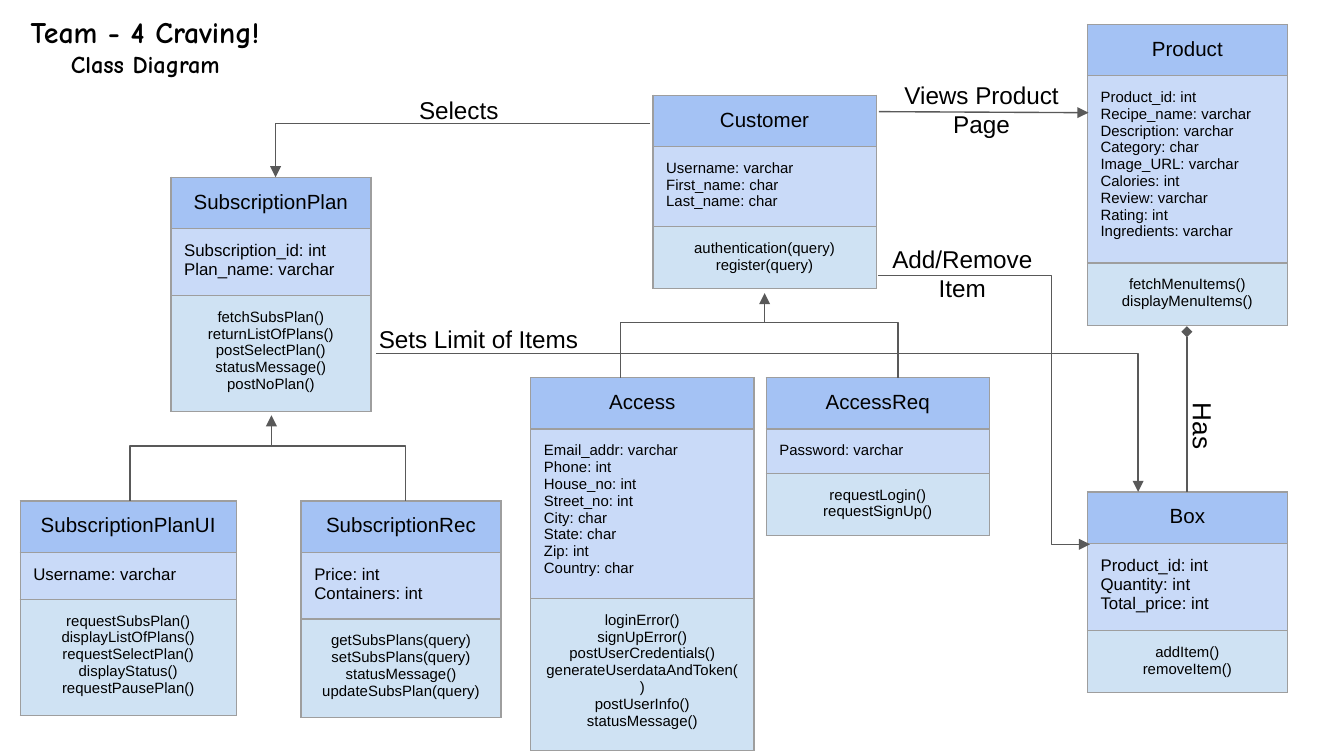
import pptx
import pptx.util
import pptx.dml.color
import pptx.enum.shapes
import pptx.enum.text
import pptx.oxml
import pptx.oxml.ns

Cm = pptx.util.Cm
COLORS = {
    "text": "000000", "line": "595959", "border": "9E9E9E",
    "header": "A4C2F4", "fields": "C9DAF8", "methods": "CFE2F3",
}

CLASSES = [
    {"name": "Customer", "at": (12.34, 1.8), "width": 4.22, "rows": (0.66, 1.45, 0.79), "size": 8,
     "fields": ["Username: varchar", "First_name: char", "Last_name: char"],
     "methods": ["authentication(query)", "register(query)"]},
    {"name": "Box", "at": (20.55, 9.3), "width": 3.78, "rows": (0.91, 1.42, 1.04), "size": 9,
     "fields": ["Product_id: int", "Quantity: int", "Total_price: int"],
     "methods": ["addItem()", "removeItem()"]},
    {"name": "Product", "at": (20.55, 0.46), "width": 3.78, "rows": (0.91, 1.75, 1.04), "size": 8,
     "fields": ["Product_id: int", "Recipe_name: varchar", "Description: varchar",
                "Category: char", "Image_URL: varchar", "Calories: int",
                "Review: varchar", "Rating: int", "Ingredients: varchar"],
     "methods": ["fetchMenuItems()", "displayMenuItems()"]},
    {"name": "SubscriptionPlan", "at": (3.23, 3.35), "width": 3.78, "rows": (0.58, 1.22, 1.75), "size": 9,
     "fields": ["Subscription_id: int", "Plan_name: varchar"],
     "methods": ["fetchSubsPlan()", "returnListOfPlans()", "postSelectPlan()",
                 "statusMessage()", "postNoPlan()"]},
    {"name": "SubscriptionPlanUI", "at": (0.38, 9.47), "width": 4.09, "rows": (0.91, 0.89, 2.16), "size": 9,
     "fields": ["Username: varchar"],
     "methods": ["requestSubsPlan()", "displayListOfPlans()", "requestSelectPlan()",
                 "displayStatus()", "requestPausePlan()"]},
    {"name": "SubscriptionRec", "at": (5.69, 9.47), "width": 3.78, "rows": (0.58, 1.09, 1.75), "size": 9,
     "fields": ["Price: int", "Containers: int"],
     "methods": ["getSubsPlans(query)", "setSubsPlans(query)", "statusMessage()",
                 "updateSubsPlan(query)"]},
    {"name": "AccessReq", "at": (14.48, 7.14), "width": 4.22, "rows": (0.66, 0.81, 0.79), "size": 8,
     "fields": ["Password: varchar"],
     "methods": ["requestLogin()", "requestSignUp()"]},
    {"name": "Access", "at": (10.03, 7.14), "width": 4.22, "rows": (0.66, 3.12, 0.79), "size": 8,
     "fields": ["Email_addr: varchar", "Phone: int", "House_no: int", "Street_no: int",
                "City: char", "State: char", "Zip: int", "Country: char"],
     "methods": ["loginError()", "signUpError()", "postUserCredentials()",
                 "generateUserdataAndToken()", "postUserInfo()", "statusMessage()"]},
]

INHERITANCE = [
    {"joint": (5.13, 8.43), "tip": 7.85, "children": [(2.46, 9.47), (7.67, 9.47)]},
    {"joint": (14.45, 6.1), "tip": 5.54, "children": [(11.73, 7.14), (16.97, 7.14)]},
]

RELATIONS = [
    {"start": (12.29, 2.34), "end": (5.21, 3.35), "arrow": "triangle", "bend": 1},
    {"start": (16.61, 2.11), "end": (20.57, 2.13), "arrow": "triangle"},
    {"start": (16.59, 5.21), "end": (20.6, 10.29), "arrow": "triangle", "bend": 0.82},
    {"start": (22.43, 9.3), "end": (22.43, 6.27), "arrow": "diamond"},
    {"start": (7.11, 6.68), "end": (21.51, 9.3), "arrow": "triangle", "bend": 1},
]

LABELS = [
    {"text": "Selects", "at": (7.67, 1.55, 2.21, 1.04)},
    {"text": "Views Product Page", "at": (16.66, 1.27, 3.78, 1.52), "align": "CENTER"},
    {"text": "Add/Remove Item", "at": (16.46, 4.37, 3.45, 1.7), "align": "CENTER"},
    {"text": "Has", "at": (22.07, 7.72, 1.57, 0.86), "size": 14, "rotation": 90},
    {"text": "Sets Limit of Items", "at": (6.91, 5.87, 4.6, 0.86)},
]


def rgb(name):
    return pptx.dml.color.RGBColor.from_string(COLORS[name])


def write_line(para, text, size=13, align="LEFT", font="Arial", bold=False):
    para.alignment = getattr(pptx.enum.text.PP_ALIGN, align)
    span = para.add_run()
    span.text = text
    span.font.size = pptx.util.Pt(size)
    span.font.name = font
    span.font.bold = bold
    span.font.color.rgb = rgb("text")


def write_lines(frame, lines, **style):
    for index, text in enumerate(lines):
        para = frame.add_paragraph() if index else frame.paragraphs[0]
        write_line(para, text, **style)


def add_box(page, at, rotation=0):
    box = page.shapes.add_textbox(*map(Cm, at))
    box.rotation = rotation
    frame = box.text_frame
    frame.word_wrap = True
    frame.margin_left = frame.margin_right = Cm(0.25)
    frame.margin_top = frame.margin_bottom = Cm(0.25)
    return frame


def style_cell(cell, fill):
    cell.margin_left = cell.margin_right = Cm(0.25)
    cell.margin_top = cell.margin_bottom = Cm(0.25)
    cell.fill.solid()
    cell.fill.fore_color.rgb = rgb(fill)
    properties = cell._tc.get_or_add_tcPr()
    for index, side in enumerate("LRTB"):
        properties.insert(index, pptx.oxml.parse_xml(
            f'<a:ln{side} {pptx.oxml.ns.nsdecls("a")} w="9525"><a:solidFill>'
            f'<a:srgbClr val="{COLORS["border"]}"/></a:solidFill></a:ln{side}>'))


def add_class(page, item):
    heights = item["rows"]
    table = page.shapes.add_table(
        3, 1, *map(Cm, item["at"]), Cm(item["width"]), Cm(sum(heights))).table
    table.first_row = table.horz_banding = False
    sections = [
        ("header", [item["name"]], 11, "CENTER"),
        ("fields", item["fields"], item["size"], "LEFT"),
        ("methods", item["methods"], 8, "CENTER"),
    ]
    for index, (fill, lines, size, align) in enumerate(sections):
        table.rows[index].height = Cm(heights[index])
        cell = table.cell(index, 0)
        style_cell(cell, fill)
        write_lines(cell.text_frame, lines, size=size, align=align)


def add_link(page, start, end, arrow=None, bend=None):
    kinds = pptx.enum.shapes.MSO_CONNECTOR
    kind = kinds.STRAIGHT if bend is None else kinds.ELBOW
    link = page.shapes.add_connector(kind, *map(Cm, start + end))
    link.line.color.rgb = rgb("line")
    link.line.width = pptx.util.Pt(0.75)
    properties = link._element.spPr
    namespace = pptx.oxml.ns.nsdecls("a")
    if bend is not None:
        guides = properties.find(pptx.oxml.ns.qn("a:prstGeom")).get_or_add_avLst()
        guides.append(pptx.oxml.parse_xml(
            f'<a:gd {namespace} name="adj1" fmla="val {round(bend * 100000)}"/>'))
    if arrow:
        link.line._get_or_add_ln().append(pptx.oxml.parse_xml(
            f'<a:tailEnd {namespace} type="{arrow}" w="med" len="med"/>'))
    properties.append(pptx.oxml.parse_xml(f'<a:effectLst {namespace}/>'))


def main():
    deck = pptx.Presentation()
    deck.slide_width, deck.slide_height = Cm(25.4), Cm(14.29)
    page = deck.slides.add_slide(deck.slide_layouts[6])

    title = add_box(page, (0, 0, 5.49, 1.7))
    write_line(title.paragraphs[0], "Team - 4 Craving!", size=16,
               align="CENTER", font="Comic Neue", bold=True)
    write_line(title.add_paragraph(), "Class Diagram", size=13,
               align="CENTER", font="Comic Neue", bold=True)

    for item in CLASSES:
        add_class(page, item)
    for tree in INHERITANCE:
        for child in tree["children"]:
            add_link(page, tree["joint"], child, bend=1)
        add_link(page, tree["joint"], (tree["joint"][0], tree["tip"]), arrow="triangle")
    for relation in RELATIONS:
        add_link(page, **relation)
    for label in LABELS:
        frame = add_box(page, label["at"], label.get("rotation", 0))
        write_lines(frame, [label["text"]], size=label.get("size", 13),
                    align=label.get("align", "LEFT"))

    deck.save("out.pptx")


if __name__ == "__main__":
    main()
